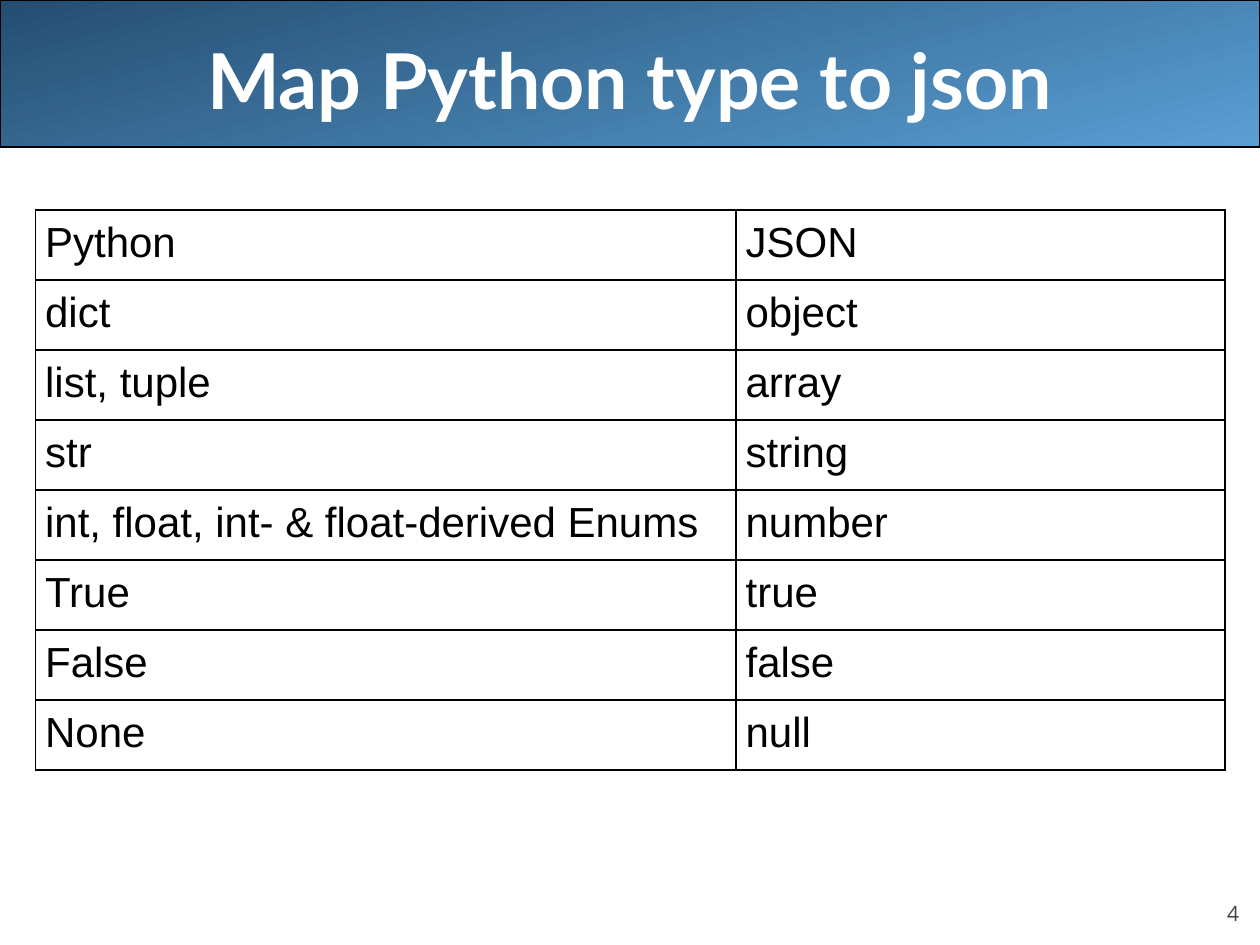
from lxml.etree import SubElement
from pptx import Presentation
from pptx.dml.color import RGBColor
from pptx.enum.shapes import MSO_SHAPE
from pptx.enum.text import MSO_ANCHOR as Anchor, PP_ALIGN as Align
from pptx.oxml.ns import qn
from pptx.util import Pt

BLACK = RGBColor(0, 0, 0)
WHITE = RGBColor(255, 255, 255)
GREY = RGBColor(0x42, 0x42, 0x42)
NAVY = RGBColor(0x24, 0x4E, 0x72)
SKY = RGBColor(0x5A, 0x9F, 0xD4)

TYPE_MAP = [
    ("Python", "JSON"),
    ("dict", "object"),
    ("list, tuple", "array"),
    ("str", "string"),
    ("int, float, int- & float-derived Enums", "number"),
    ("True", "true"),
    ("False", "false"),
    ("None", "null"),
]


class SlideBuilder:
    title_font, body_font, number_font = "Lato", "Arial", "Open Sans"
    cell_margin = Pt(5.6)
    row_height = 38.8

    def __init__(self, prs):
        self.s = prs.slides.add_slide(prs.slide_layouts[6])

    def banner(self, x, y, w, h):
        sp = self.s.shapes.add_shape(MSO_SHAPE.ROUNDED_RECTANGLE, Pt(x), Pt(y), Pt(w), Pt(h))
        sp.adjustments[0] = 0
        sp.shadow.inherit = False
        sp.fill.gradient()
        sp.fill.gradient_angle = 285
        for stop, color in zip(sp.fill.gradient_stops, (NAVY, SKY)):
            stop.color.rgb = color
        sp.line.color.rgb = BLACK
        sp.line.width = Pt(0.75)

    def text(self, text, x, y, w, h, font, size, color, align, anchor, bold=False):
        tf = self.s.shapes.add_textbox(Pt(x), Pt(y), Pt(w), Pt(h)).text_frame
        tf.word_wrap = True
        tf.vertical_anchor = anchor
        tf.margin_left = tf.margin_right = tf.margin_top = tf.margin_bottom = 0
        p = tf.paragraphs[0]
        p.text = text
        p.alignment = align
        self.style(p, font, size, color, bold)

    def style(self, p, font, size, color, bold=False):
        p.font.name = font
        p.font.size = Pt(size)
        p.font.color.rgb = color
        p.font.bold = bold

    def table(self, rows, x, y, widths):
        frame = self.s.shapes.add_table(len(rows), len(widths), Pt(x), Pt(y),
                                        Pt(sum(widths)), Pt(self.row_height * len(rows)))
        table = frame.table
        table.first_row = table.horz_banding = False
        for column, width in zip(table.columns, widths):
            column.width = Pt(width)
        for row, values in zip(table.rows, rows):
            row.height = Pt(self.row_height)
            for cell, value in zip(row.cells, values):
                self.cell(cell, value)

    def cell(self, cell, value):
        cell.margin_left = cell.margin_right = self.cell_margin
        cell.margin_top = cell.margin_bottom = self.cell_margin
        cell.text = value
        self.style(cell.text_frame.paragraphs[0], self.body_font, 24, BLACK)
        # Borders must precede the fill in the cell properties.
        tc_pr = cell._tc.get_or_add_tcPr()
        for side in ("a:lnL", "a:lnR", "a:lnT", "a:lnB"):
            ln = SubElement(tc_pr, qn(side), w=str(Pt(1)))
            SubElement(SubElement(ln, qn("a:solidFill")), qn("a:srgbClr"), val=str(BLACK))
        cell.fill.solid()
        cell.fill.fore_color.rgb = WHITE


def main():
    prs = Presentation()
    prs.slide_width, prs.slide_height = Pt(720), Pt(540)
    b = SlideBuilder(prs)
    b.banner(0, 0, 720, 84)
    b.text("4", 648, 500.4, 60, 28.8, b.number_font, 12, GREY, Align.RIGHT, Anchor.BOTTOM)
    b.text("Map Python type to json", 36, 0, 648, 90, b.title_font, 44, WHITE,
           Align.CENTER, Anchor.MIDDLE, bold=True)
    b.table(TYPE_MAP, 20.2, 120, (400.3, 279.4))
    prs.save("out.pptx")


if __name__ == "__main__":
    main()
